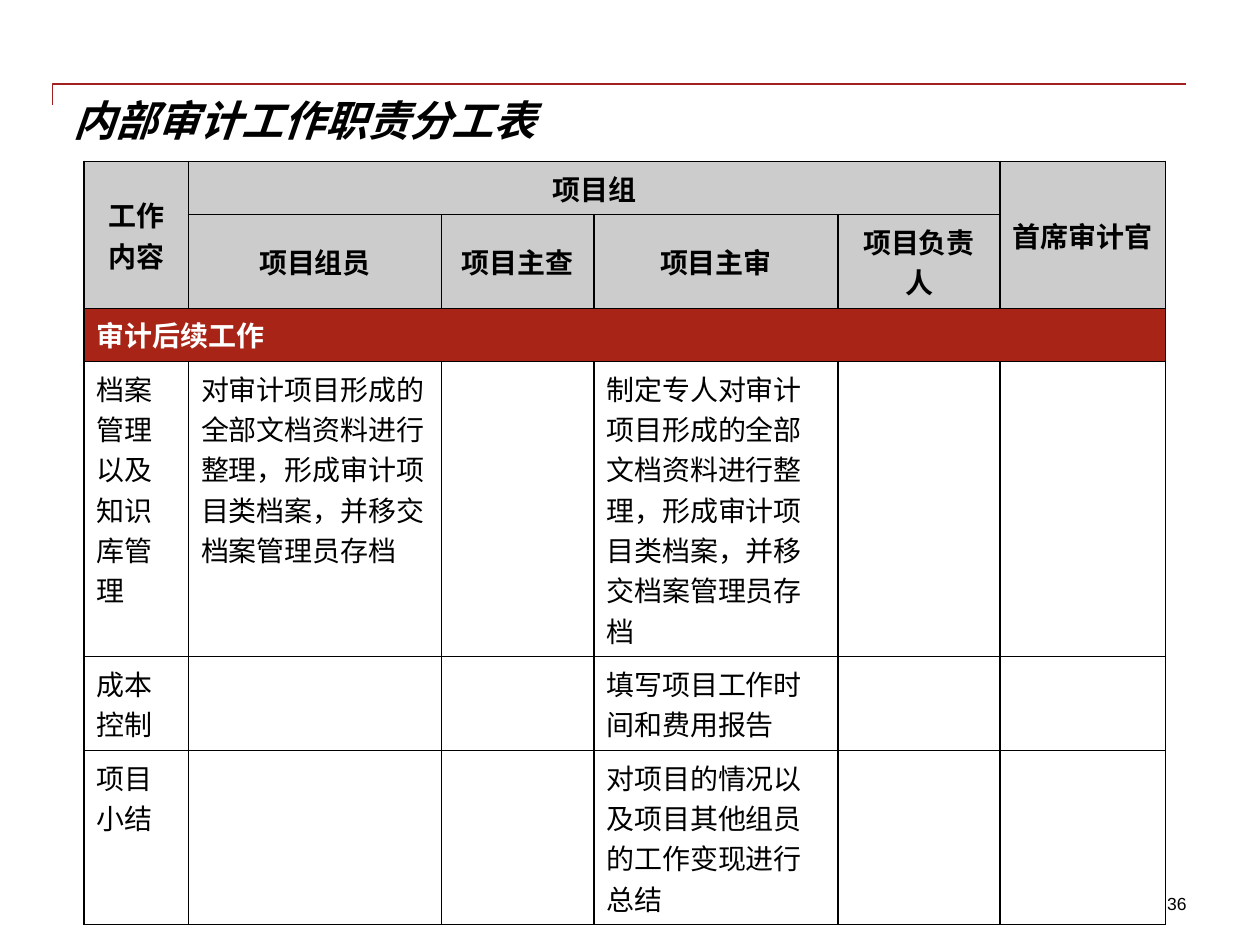
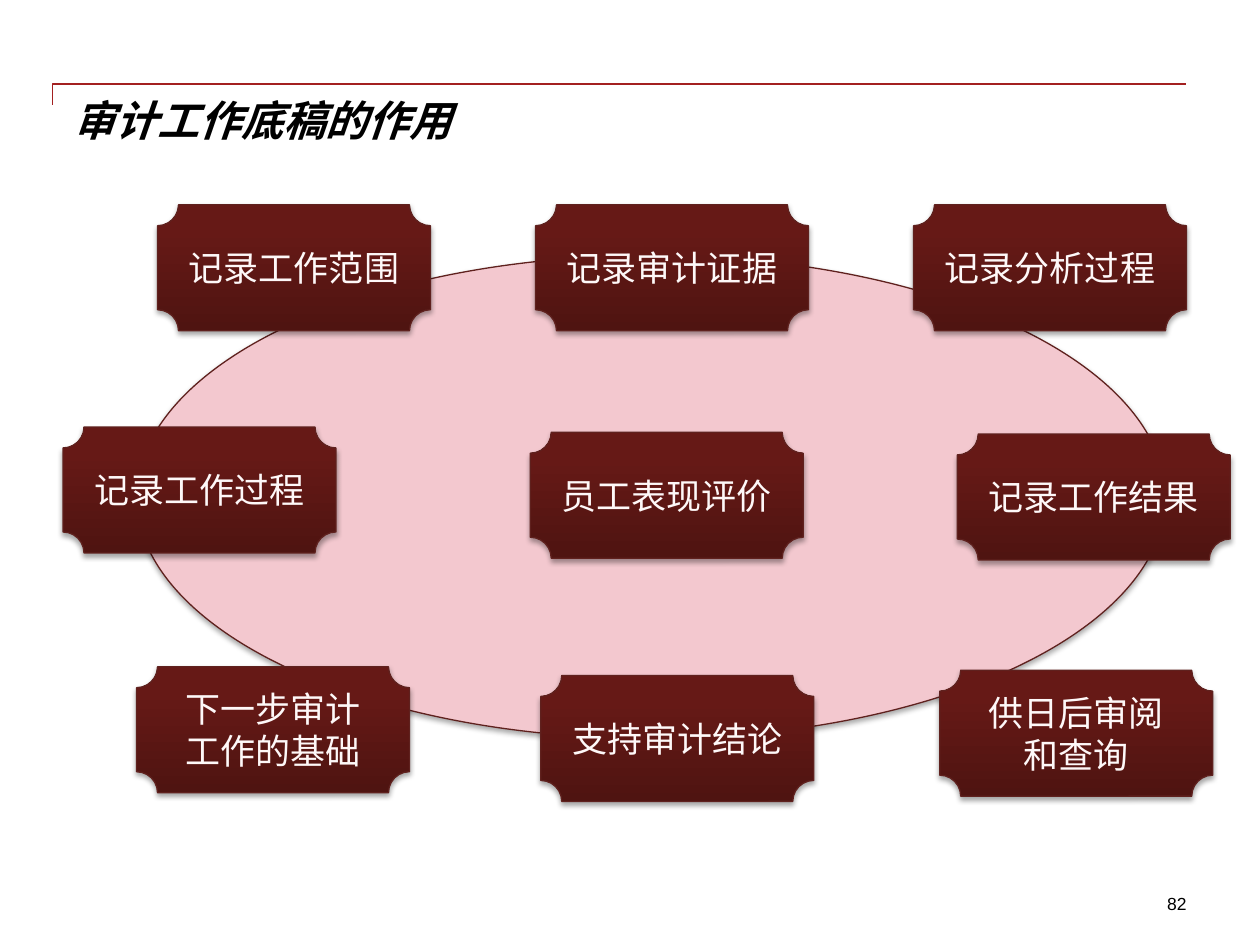
"""Build two internal audit slides: a duty table and the uses of working papers."""
from copy import deepcopy

from lxml.etree import SubElement
from pptx import Presentation
from pptx.dml.color import RGBColor
from pptx.enum.shapes import MSO_SHAPE as Shape
from pptx.enum.text import MSO_ANCHOR as Anchor, PP_ALIGN as Align
from pptx.oxml.ns import qn
from pptx.util import Pt

BLACK = RGBColor(0x00, 0x00, 0x00)
WHITE = RGBColor(0xFF, 0xFF, 0xFF)
RULE_RED = RGBColor(0xA3, 0x20, 0x20)
BAND_RED = RGBColor(0xA8, 0x24, 0x17)
HEADER_GRAY = RGBColor(0xCC, 0xCC, 0xCC)
PINK = RGBColor(0xF3, 0xC8, 0xCF)
OUTLINE = RGBColor(0x5F, 0x21, 0x1E)
PLAQUE_TEXT = RGBColor(0xFE, 0xF8, 0xF8)
PLAQUE_STOPS = [
    (0, RGBColor(0x4F, 0x14, 0x11)),
    (0.8, RGBColor(0x66, 0x19, 0x16)),
    (1, RGBColor(0x68, 0x18, 0x14)),
]
LATIN, CHINESE = "Arial", "Noto Sans CJK SC"

DUTY_TITLE, DUTY_NUMBER = "内部审计工作职责分工表", "36"
DUTY_COLUMNS = [59.7, 144.6, 87.1, 139.4, 92.8, 94.4]
DUTY_ROWS = [30.5, 53.5, 30.5, 168.5, 53.7, 99.4]
DUTY_CELLS = [
    ["工作内容", "项目组", "", "", "", "首席审计官"],
    ["", "项目组员", "项目主查", "项目主审", "项目负责人", ""],
    ["审计后续工作", "", "", "", "", ""],
    ["档案管理以及知识库管理",
     "对审计项目形成的全部文档资料进行整理，形成审计项目类档案，并移交档案管理员存档", "",
     "制定专人对审计项目形成的全部文档资料进行整理，形成审计项目类档案，并移交档案管理员存档", "", ""],
    ["成本控制", "", "", "填写项目工作时间和费用报告", "", ""],
    ["项目小结", "", "", "对项目的情况以及项目其他组员的工作变现进行总结", "", ""],
]
DUTY_MERGES = [((0, 0), (1, 0)), ((0, 1), (0, 4)), ((0, 5), (1, 5)), ((2, 0), (2, 5))]
HEADER_ROWS, BAND_ROW = 2, 2

USES_TITLE, USES_NUMBER = "审计工作底稿的作用", "82"
PLAQUE_SIZE = (156, 72)
USES = [
    (90, 117, ["记录工作范围"]),
    (36, 244, ["记录工作过程"]),
    (306, 117, ["记录审计证据"]),
    (537, 383, ["供日后审阅", "和查询"]),
    (522, 117, ["记录分析过程"]),
    (78, 381, ["下一步审计", "工作的基础"]),
    (303, 247, ["员工表现评价"]),
    (547, 248, ["记录工作结果"]),
    (309, 386, ["支持审计结论"]),
]


def style(paragraph, size, color, name=CHINESE, bold=False, italic=False, align=None):
    """Set the font and alignment of a whole paragraph."""
    paragraph.alignment = align
    font = paragraph.font
    font.size, font.bold, font.italic, font.name = Pt(size), bold, italic, name
    font.color.rgb = color
    properties = paragraph._p.pPr.find(qn("a:defRPr"))
    SubElement(properties, qn("a:ea"), typeface=CHINESE)


def clear_insets(frame):
    """Remove the four insets of a text frame and keep its text at the top."""
    frame.margin_left = frame.margin_top = frame.margin_right = frame.margin_bottom = 0
    frame.vertical_anchor = Anchor.TOP
    frame.word_wrap = True


def add_framed_slide(presentation, title_text, number):
    """Add a slide with the red corner rule, the title and the page number."""
    slide = presentation.slides.add_slide(presentation.slide_layouts[5])
    builder = slide.shapes.build_freeform(Pt(30), Pt(60))
    builder.add_line_segments([(Pt(30), Pt(48)), (Pt(678), Pt(48))], close=False)
    rule = builder.convert_to_shape()
    rule.fill.background()
    rule.line.color.rgb, rule.line.width = RULE_RED, Pt(1)
    rule.shadow.inherit = False

    title = slide.shapes.title
    title.left, title.top, title.width, title.height = Pt(42), Pt(54), Pt(636), Pt(72)
    title.text_frame.text = title_text
    clear_insets(title.text_frame)
    style(title.text_frame.paragraphs[0], 24, BLACK, LATIN, True, True, Align.LEFT)

    page = slide.shapes.add_textbox(Pt(558), Pt(510.3), Pt(120), Pt(12)).text_frame
    page.text = number
    clear_insets(page)
    style(page.paragraphs[0], 10, BLACK, LATIN, align=Align.RIGHT)
    return slide


def add_borders(cell):
    """Draw a black one-point line on each side of a cell."""
    properties = cell._tc.get_or_add_tcPr()
    for side in ("a:lnL", "a:lnR", "a:lnT", "a:lnB"):
        line = SubElement(properties, qn(side), w=str(Pt(1)))
        fill = SubElement(line, qn("a:solidFill"))
        SubElement(fill, qn("a:srgbClr"), val=str(BLACK))


def add_duty_table(slide):
    """Add the table of duties by role."""
    table = slide.shapes.add_table(
        len(DUTY_ROWS), len(DUTY_COLUMNS), Pt(48), Pt(92.2),
        Pt(sum(DUTY_COLUMNS)), Pt(sum(DUTY_ROWS))).table
    table.first_row = table.horz_banding = False
    for column, width in zip(table.columns, DUTY_COLUMNS):
        column.width = Pt(width)
    for row, height in zip(table.rows, DUTY_ROWS):
        row.height = Pt(height)
    for first, last in DUTY_MERGES:
        table.cell(*first).merge(table.cell(*last))
    for row_index, texts in enumerate(DUTY_CELLS):
        header, band = row_index < HEADER_ROWS, row_index == BAND_ROW
        for column_index, text in enumerate(texts):
            cell = table.cell(row_index, column_index)
            add_borders(cell)
            if header or band:
                cell.fill.solid()
                cell.fill.fore_color.rgb = HEADER_GRAY if header else BAND_RED
            else:
                cell.fill.background()
            cell.vertical_anchor = Anchor.MIDDLE if header else Anchor.TOP
            cell.text = text
            style(cell.text_frame.paragraphs[0], 16, WHITE if band else BLACK,
                  bold=header or band, align=Align.CENTER if header else Align.LEFT)


def add_raised_shape(slide, kind, left, top, width, height):
    """Add a preset shape with a dark outline and a soft shadow below."""
    shape = slide.shapes.add_shape(kind, Pt(left), Pt(top), Pt(width), Pt(height))
    shape.line.color.rgb, shape.line.width = OUTLINE, Pt(0.75)
    shape.shadow.inherit = False
    effects = shape._element.spPr.find(qn("a:effectLst"))
    shadow = SubElement(effects, qn("a:outerShdw"), blurRad=str(Pt(3.1)),
                        dist=str(Pt(1.8)), dir="5400000", rotWithShape="0")
    color = SubElement(shadow, qn("a:srgbClr"), val=str(BLACK))
    SubElement(color, qn("a:alpha"), val="35000")
    return shape


def add_plaque(slide, left, top, lines):
    """Add one dark red plaque with centred lines of text."""
    plaque = add_raised_shape(slide, Shape.PLAQUE, left, top, *PLAQUE_SIZE)
    plaque.fill.gradient()
    plaque.fill.gradient_angle = 90
    stop_list = plaque._element.spPr.find(qn("a:gradFill")).find(qn("a:gsLst"))
    stop_list.append(deepcopy(stop_list[-1]))
    for stop, (position, color) in zip(plaque.fill.gradient_stops, PLAQUE_STOPS):
        stop.position, stop.color.rgb = position, color
    frame = plaque.text_frame
    frame.text = "\n".join(lines)
    frame.word_wrap, frame.vertical_anchor = False, Anchor.MIDDLE
    for paragraph in frame.paragraphs:
        paragraph.line_spacing = Pt(24)
        style(paragraph, 20, PLAQUE_TEXT, align=Align.CENTER)


def main():
    """Build and save the presentation."""
    presentation = Presentation()
    presentation.slide_width, presentation.slide_height = Pt(720), Pt(540)

    add_duty_table(add_framed_slide(presentation, DUTY_TITLE, DUTY_NUMBER))

    uses_slide = add_framed_slide(presentation, USES_TITLE, USES_NUMBER)
    ellipse = add_raised_shape(uses_slide, Shape.OVAL, 78, 146, 588, 276)
    ellipse.fill.solid()
    ellipse.fill.fore_color.rgb = PINK
    for left, top, lines in USES:
        add_plaque(uses_slide, left, top, lines)

    presentation.save("out.pptx")


if __name__ == "__main__":
    main()
